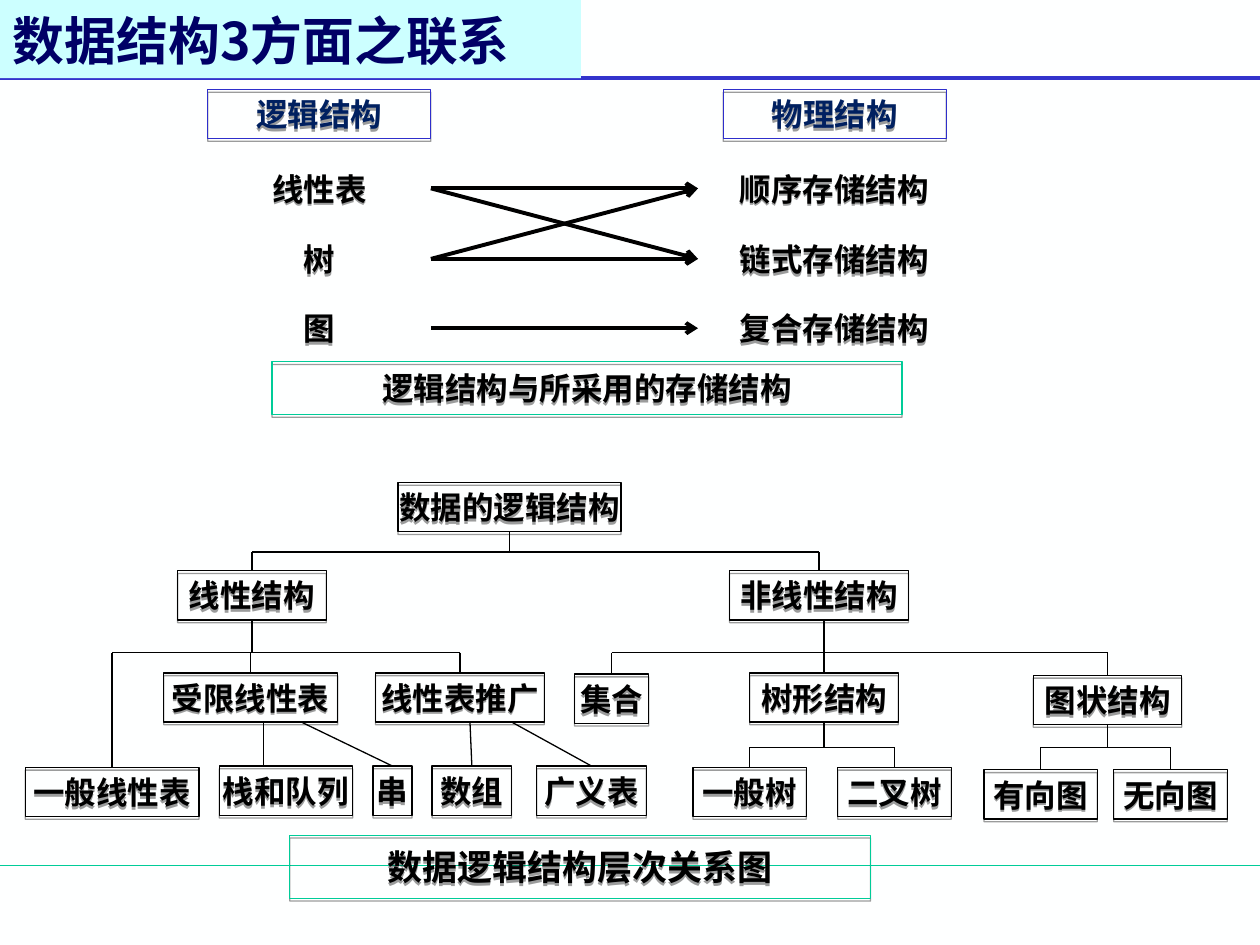
"""Build the slide that links the three aspects of data structures."""
from lxml import etree
from pptx import Presentation
from pptx.dml.color import RGBColor
from pptx.enum import shapes, text
from pptx.oxml import ns
from pptx.util import Inches, Pt

BLACK = RGBColor(0x00, 0x00, 0x00)
NAVY = RGBColor(0x00, 0x20, 0x60)
TITLE_INK = RGBColor(0x00, 0x00, 0x66)
TITLE_FILL = RGBColor(0xCC, 0xFF, 0xFF)
BLUE = RGBColor(0x2E, 0x2E, 0xCB)
RULE_BLUE = RGBColor(0x33, 0x33, 0xCC)
GREEN = RGBColor(0x00, 0xCC, 0x98)
BACKGROUND = RGBColor(0xFE, 0xFF, 0xFF)
SANS, SERIF = "Noto Sans CJK SC", "Times New Roman"
TOP, LEFT, BOTTOM, RIGHT = range(4)


class Diagram:
    """Hold the current slide and draw its elements in one style."""

    def __init__(self, slide):
        self.slide = slide
        slide.background.fill.solid()
        slide.background.fill.fore_color.rgb = BACKGROUND

    def format_text(self, shape, words, size, font, color, wrap, align, anchor):
        frame = shape.text_frame
        frame.text = words
        frame.auto_size = text.MSO_AUTO_SIZE.NONE
        frame.word_wrap = wrap
        frame.vertical_anchor = anchor
        paragraph = frame.paragraphs[0]
        paragraph.alignment = align
        paragraph.font.size = Pt(size)
        paragraph.font.bold = True
        paragraph.font.color.rgb = color
        paragraph.font.name = font
        properties = paragraph.font._element
        latin = properties.find(ns.qn("a:latin"))
        east_asian = etree.Element(ns.qn("a:ea"), typeface=SANS)
        latin.addnext(east_asian)
        return paragraph

    def title(self, words, left, top, width, height):
        title = self.slide.shapes.title
        title.left, title.top = Inches(left), Inches(top)
        title.width, title.height = Inches(width), Inches(height)
        title.fill.solid()
        title.fill.fore_color.rgb = TITLE_FILL
        paragraph = self.format_text(title, words, 29.6, SANS, TITLE_INK, True,
                                     text.PP_ALIGN.LEFT, text.MSO_ANCHOR.BOTTOM)
        paragraph.line_spacing = 0.9
        self.slide.shapes._spTree.append(title._element)

    def add_shadow(self, shape):
        shape.shadow.inherit = False
        effects = shape._element.spPr.find(ns.qn("a:effectLst"))
        shadow = etree.SubElement(effects, ns.qn("a:outerShdw"), blurRad="0",
                                  dist="20000", dir="5400000", rotWithShape="0")
        color = etree.SubElement(shadow, ns.qn("a:srgbClr"), val="000000")
        etree.SubElement(color, ns.qn("a:alpha"), val="38000")

    def box(self, words, left, top, width, height=0.39, line=BLACK, color=BLACK,
            size=18, font=SERIF, wrap=False):
        shape = self.slide.shapes.add_shape(
            shapes.MSO_SHAPE.RECTANGLE, Inches(left), Inches(top), Inches(width), Inches(height))
        shape.fill.background()
        shape.line.color.rgb = line
        shape.line.width = Pt(0.75)
        self.add_shadow(shape)
        self.format_text(shape, words, size, font, color, wrap,
                         text.PP_ALIGN.CENTER, text.MSO_ANCHOR.MIDDLE)
        return shape

    def label(self, words, left, top, width, height=0.39):
        shape = self.slide.shapes.add_textbox(Inches(left), Inches(top), Inches(width), Inches(height))
        self.add_shadow(shape)
        self.format_text(shape, words, 18, SERIF, BLACK, False,
                         text.PP_ALIGN.CENTER, text.MSO_ANCHOR.MIDDLE)
        return shape

    def line(self, x1, y1, x2, y2, color=BLACK, width=0.75):
        connector = self.slide.shapes.add_connector(
            shapes.MSO_CONNECTOR.STRAIGHT, Inches(x1), Inches(y1), Inches(x2), Inches(y2))
        connector.line.color.rgb = color
        connector.line.width = Pt(width)
        etree.SubElement(connector._element.spPr, ns.qn("a:effectLst"))
        return connector

    def arrow(self, source, target):
        connector = self.line(0, 0, 1, 1, width=2.25)
        connector.begin_connect(source, RIGHT)
        connector.end_connect(target, LEFT)
        etree.SubElement(connector.line._ln, ns.qn("a:tailEnd"), type="arrow")

    def branch(self, parent, children, bar, stem=None):
        x = stem or self.center(parent)
        trunk = self.line(x, (parent.top + parent.height) / Inches(1), x, bar)
        if stem is None:
            trunk.begin_connect(parent, BOTTOM)
        drops = [self.center(child) for child in children]
        self.line(drops[0], bar, drops[-1], bar)
        for child, drop in zip(children, drops):
            self.line(drop, bar, drop, child.top / Inches(1)).end_connect(child, TOP)

    @staticmethod
    def center(shape):
        return (shape.left + shape.width / 2) / Inches(1)


def main():
    presentation = Presentation()
    presentation.slide_width, presentation.slide_height = Inches(10), Inches(7.5)
    diagram = Diagram(presentation.slides.add_slide(presentation.slide_layouts[5]))

    diagram.line(0, 6.87, 10, 6.87, GREEN)
    diagram.line(0, 0.62, 10, 0.62, RULE_BLUE, 2.25)
    diagram.title("数据结构3方面之联系", 0, 0, 4.61, 0.62)

    diagram.box("逻辑结构与所采用的存储结构", 2.16, 2.87, 5, 0.42, GREEN, font=SANS, wrap=True)
    for words, left in (("逻辑结构", 1.65), ("物理结构", 5.74)):
        diagram.box(words, left, 0.71, 1.77, line=BLUE, color=NAVY)
    rows = (1.3, 1.86, 2.41)
    linear, tree, graph = [diagram.label(words, 1.65, top, 1.77)
                           for words, top in zip(("线性表", "树", "图"), rows)]
    sequential, linked, compound = [
        diagram.label(words, 5.54, top, 2.16)
        for words, top in zip(("顺序存储结构", "链式存储结构", "复合存储结构"), rows)]
    for source, target in ((linear, sequential), (linear, linked), (tree, sequential),
                           (graph, compound), (tree, linked)):
        diagram.arrow(source, target)

    root = diagram.box("数据的逻辑结构", 3.16, 3.83, 1.77)
    linear_kind = diagram.box("线性结构", 1.41, 4.53, 1.18)
    nonlinear_kind = diagram.box("非线性结构", 5.79, 4.53, 1.42)
    general_list = diagram.box("一般线性表", 0.2, 6.09, 1.38)
    restricted = diagram.box("受限线性表", 1.3, 5.34, 1.38)
    extended = diagram.box("线性表推广", 2.98, 5.34, 1.34)
    collection = diagram.box("集合", 4.56, 5.35, 0.59)
    tree_kind = diagram.box("树形结构", 5.95, 5.34, 1.18)
    graph_kind = diagram.box("图状结构", 8.2, 5.36, 1.18)
    trees = [diagram.box(words, left, 6.09, 0.9)
             for words, left in (("一般树", 5.5), ("二叉树", 6.65))]
    graphs = [diagram.box(words, left, 6.11, 0.9)
              for words, left in (("有向图", 7.81), ("无向图", 8.84))]
    diagram.box("栈和队列", 1.74, 6.08, 1.06)
    string = diagram.box("串", 2.96, 6.08, 0.31)
    array = diagram.box("数组", 3.43, 6.08, 0.63)
    general_lists = diagram.box("广义表", 4.26, 6.08, 0.87)

    diagram.branch(root, [linear_kind, nonlinear_kind], 4.38)
    diagram.branch(linear_kind, [general_list, restricted, extended], 5.18)
    diagram.branch(nonlinear_kind, [collection, tree_kind, graph_kind], 5.18, stem=6.54)
    diagram.branch(tree_kind, trees, 5.93)
    diagram.branch(graph_kind, graphs, 5.93)
    diagram.line(2.09, 5.73, 2.09, 6.08)
    for x, child in ((2.39, string), (3.73, array), (4.06, general_lists)):
        diagram.line(x, 5.73, x, 6.08).end_connect(child, TOP)

    diagram.box("数据逻辑结构层次关系图", 2.3, 6.63, 4.61, 0.5, GREEN, size=20, font=SANS, wrap=True)
    presentation.save("out.pptx")


if __name__ == "__main__":
    main()
